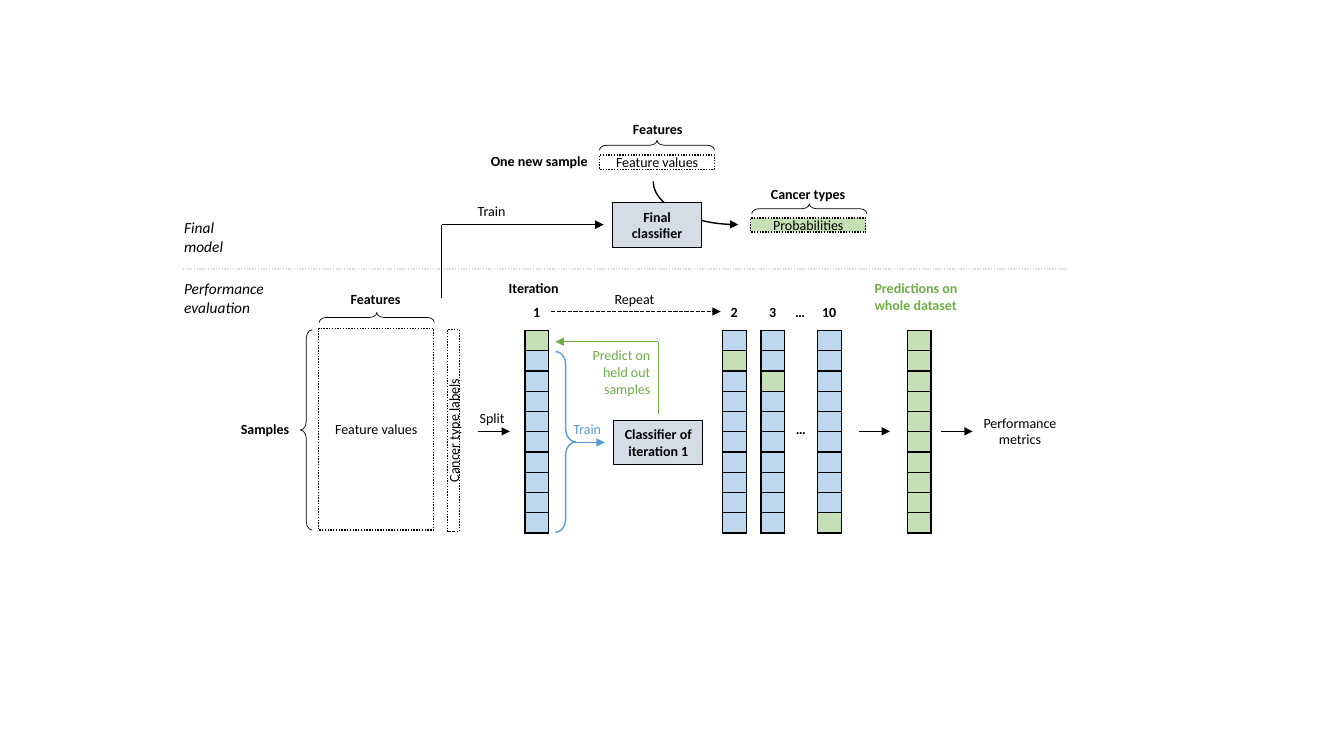
"""Draw the workflow of a cancer type classifier and its ten-fold evaluation."""
from lxml import etree
from pptx import Presentation
from pptx.dml.color import RGBColor
from pptx.enum.dml import MSO_LINE
from pptx.enum.shapes import MSO_CONNECTOR, MSO_SHAPE
from pptx.enum.text import MSO_ANCHOR, MSO_AUTO_SIZE, PP_ALIGN
from pptx.oxml.ns import qn
from pptx.util import Cm, Pt

DOT, DASH = MSO_LINE.ROUND_DOT, MSO_LINE.SQUARE_DOT
LEFT, MID, RIGHT = PP_ALIGN.LEFT, PP_ALIGN.CENTER, PP_ALIGN.RIGHT
RECT, ARC, BRACE = MSO_SHAPE.RECTANGLE, MSO_SHAPE.ARC, MSO_SHAPE.LEFT_BRACE
STRAIGHT = MSO_CONNECTOR.STRAIGHT
BLACK = RGBColor(0x00, 0x00, 0x00)
GREY = RGBColor(0xD6, 0xDC, 0xE5)
GREEN = RGBColor(0x70, 0xAD, 0x47)
BLUE = RGBColor(0x5B, 0x9B, 0xD5)
PALE_GREEN = RGBColor(0xC5, 0xE0, 0xB4)
PALE_BLUE = RGBColor(0xBD, 0xD7, 0xEE)

FOLDS = 10
TOP, WIDE, ROW = 8.33, 0.6, 0.51
NUM_Y = 7.52
PLAIN, BOLD, ITALIC = "plain", "bold", "italic"

# left, held-out folds, label, label width
COLUMNS = [
    (13.23, [0], "1", 0.69),
    (18.21, [1], "2", 0.69),
    (19.18, [2], "3", 0.69),
    (20.6, [9], "10", 0.86),
    (22.86, range(FOLDS), "", 0),
]
# lines, left, top, width, look, colour, alignment
LABELS = [
    (["Predict on", "held out", "samples"], 14.66, 8.61, 1.98, PLAIN, GREEN, RIGHT),
    (["Train"], 11.79, 4.98, 1.24, PLAIN, BLACK, LEFT),
    (["Train"], 14.2, 10.46, 1.24, PLAIN, BLUE, LEFT),
    (["…"], 19.81, 10.46, 0.69, BOLD, BLACK, LEFT),
    (["…"], 19.79, NUM_Y, 0.69, BOLD, BLACK, LEFT),
    (["Repeat"], 15.24, 7.19, 1.55, PLAIN, BLACK, LEFT),
    (["Predictions on", "whole dataset"], 21.79, 6.93, 2.72, BOLD, GREEN, LEFT),
    (["Features"], 8.59, 7.19, 1.8, BOLD, BLACK, LEFT),
    (["Features"], 15.7, 2.92, 1.8, BOLD, BLACK, LEFT),
    (["Performance", "evaluation"], 4.39, 6.91, 2.54, ITALIC, BLACK, LEFT),
    (["Final", "model"], 4.39, 5.38, 1.5, ITALIC, BLACK, LEFT),
    (["Split"], 11.84, 10.19, 1.14, PLAIN, BLACK, LEFT),
    (["One new sample"], 12.12, 3.73, 2.97, BOLD, BLACK, LEFT),
    (["Cancer types"], 19.18, 4.55, 2.41, BOLD, BLACK, LEFT),
    (["Samples"], 5.82, 10.46, 1.75, BOLD, BLACK, LEFT),
    (["Performance", "metrics"], 24.51, 10.31, 2.39, PLAIN, BLACK, MID),
    (["Iteration"], 12.57, 6.93, 1.8, BOLD, BLACK, LEFT),
]
# lines, place, fill, look, line width, dash, turned
BOXES = [
    (["Feature values"], (8.03, 8.28, 2.9, 5.08), None, PLAIN, 1, DOT, False),
    (["Cancer type labels"], (11.28, 8.31, 0.3, 5.08), None, PLAIN, 1, DOT, True),
    (["Feature values"], (15.11, 3.91, 2.9, 0.36), None, PLAIN, 1, DOT, False),
    (["Probabilities"], (18.92, 5.49, 2.9, 0.36), PALE_GREEN, PLAIN, 1, DOT, False),
    (["Final classifier"], (15.44, 5.11, 2.24, 1.12), GREY, BOLD, 0.75, None, False),
    (["Classifier of", "iteration 1"], (15.47, 10.59, 2.24, 1.12), GREY, BOLD, 0.75, None, False),
]
# place, rotation, bend, colour, line width
BRACES = [
    ((14, 8.86, 0.51, 4.55), 180, 0.64, BLUE, 1),
    ((16.43, 2.21, 0.25, 2.9), 90, 0.71, BLACK, 0.5),
    ((20.27, 3.81, 0.25, 2.9), 90, 0.71, BLACK, 0.5),
    ((9.37, 6.55, 0.25, 2.9), 90, 0.71, BLACK, 0.5),
    ((7.57, 8.31, 0.3, 5.05), 0, 0.71, BLACK, 0.5),
]
# start and end, colour, dash, arrow
LINES = [
    ((26.9, 6.78, 4.62, 6.78), GREY, DOT, False),
    ((14.5, 11.15, 15.24, 11.15), BLUE, None, True),
    ((16.59, 8.61, 16.59, 10.44), GREEN, None, False),
    ((16.59, 8.61, 14, 8.61), GREEN, None, True),
    ((13.89, 7.85, 18.16, 7.85), BLACK, DASH, True),
    ((12.04, 10.87, 12.85, 10.87), BLACK, None, True),
    ((21.64, 10.87, 22.43, 10.87), BLACK, None, True),
    ((23.72, 10.87, 24.51, 10.87), BLACK, None, True),
    ((11.13, 5.66, 15.21, 5.66), BLACK, None, True),
    ((11.13, 5.66, 11.13, 7.52), BLACK, None, False),
]


def write(frame, lines, look, color, align):
    frame.text = "\n".join(lines)
    for para in frame.paragraphs:
        para.alignment = align
        for run in para.runs:
            font = run.font
            font.name = "Calibri"
            font.size = Pt(11 if look == ITALIC else 10)
            font.bold = look == BOLD
            font.italic = look == ITALIC
            font.color.rgb = color


def stroke(line, color, width=1, dash=None, arrow=None):
    line.color.rgb = color
    line.width = Pt(width)
    if dash:
        line.dash_style = dash
    if arrow:
        etree.SubElement(line._get_or_add_ln(), qn(arrow), type="triangle")


def label(slide, lines, x, y, width, look, color, align):
    size = 11 if look == ITALIC else 10
    height = 0.26 + 0.043 * size * len(lines)
    box = slide.shapes.add_textbox(Cm(x), Cm(y), Cm(width), Cm(height))
    box.text_frame.word_wrap = False
    box.text_frame.auto_size = MSO_AUTO_SIZE.SHAPE_TO_FIT_TEXT
    write(box.text_frame, lines, look, color, align)


def outline(slide, kind, place, fill=None):
    shape = slide.shapes.add_shape(kind, *map(Cm, place))
    shape.shadow.inherit = False
    if fill is None:
        shape.fill.background()
    else:
        shape.fill.solid()
        shape.fill.fore_color.rgb = fill
    return shape


def box(slide, lines, place, fill, look, width, dash, turned):
    shape = outline(slide, RECT, place, fill)
    stroke(shape.line, BLACK, width, dash)
    frame = shape.text_frame
    frame.word_wrap = len(lines) == 1
    frame.vertical_anchor = MSO_ANCHOR.MIDDLE
    if turned:
        frame._txBody.bodyPr.set("vert", "vert270")
    write(frame, lines, look, BLACK, MID)


def brace(slide, place, turn, bend, color, width):
    shape = outline(slide, BRACE, place)
    shape.rotation = turn
    shape.adjustments[0] = bend
    stroke(shape.line, color, width)


def link(slide, ends, color, dash, arrow):
    line = slide.shapes.add_connector(STRAIGHT, *map(Cm, ends))
    stroke(line.line, color, 1, dash, "a:tailEnd" if arrow else None)
    etree.SubElement(line._element.spPr, qn("a:effectLst"))


def border(cell):
    props = cell._tc.get_or_add_tcPr()
    for spot, side in enumerate(("a:lnL", "a:lnR", "a:lnT", "a:lnB")):
        edge = etree.Element(qn(side), w=str(Pt(1)))
        fill = etree.SubElement(edge, qn("a:solidFill"))
        etree.SubElement(fill, qn("a:srgbClr"), val=str(BLACK))
        props.insert(spot, edge)


def column(slide, x, held, text, width):
    frame = slide.shapes.add_table(FOLDS, 1, Cm(x), Cm(TOP), Cm(WIDE), Cm(ROW * FOLDS))
    table = frame.table
    table.first_row = table.horz_banding = False
    for fold in range(FOLDS):
        table.rows[fold].height = Cm(ROW)
        cell = table.cell(fold, 0)
        cell.margin_left = cell.margin_right = cell.margin_top = cell.margin_bottom = 0
        cell.fill.solid()
        cell.fill.fore_color.rgb = PALE_GREEN if fold in held else PALE_BLUE
        border(cell)
        para = cell.text_frame.paragraphs[0]
        etree.SubElement(para._p, qn("a:endParaRPr"), sz="600")
    if text:
        label(slide, [text], x + (WIDE - width) / 2, NUM_Y, width, BOLD, BLACK, LEFT)


def main():
    deck = Presentation()
    deck.slide_width, deck.slide_height = Cm(33.87), Cm(19.05)
    slide = deck.slides.add_slide(deck.slide_layouts[6])
    curve = outline(slide, ARC, (16.46, 3.48, 4.29, 2.18))
    curve.rotation = 180
    stroke(curve.line, BLACK, arrow="a:headEnd")
    for draw, items in ((link, LINES), (column, COLUMNS), (box, BOXES),
                        (brace, BRACES), (label, LABELS)):
        for item in items:
            draw(slide, *item)
    deck.save("out.pptx")


if __name__ == "__main__":
    main()
